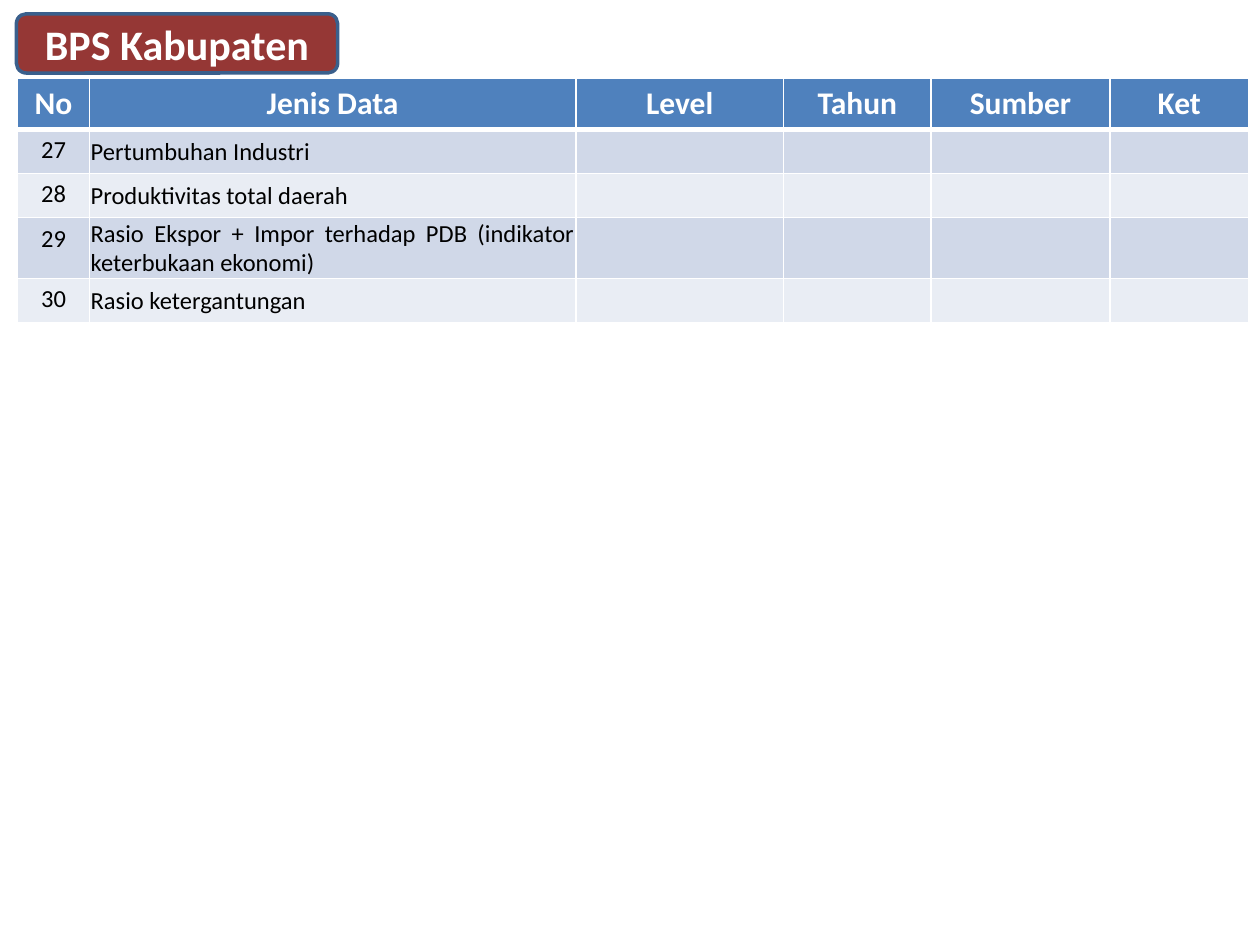
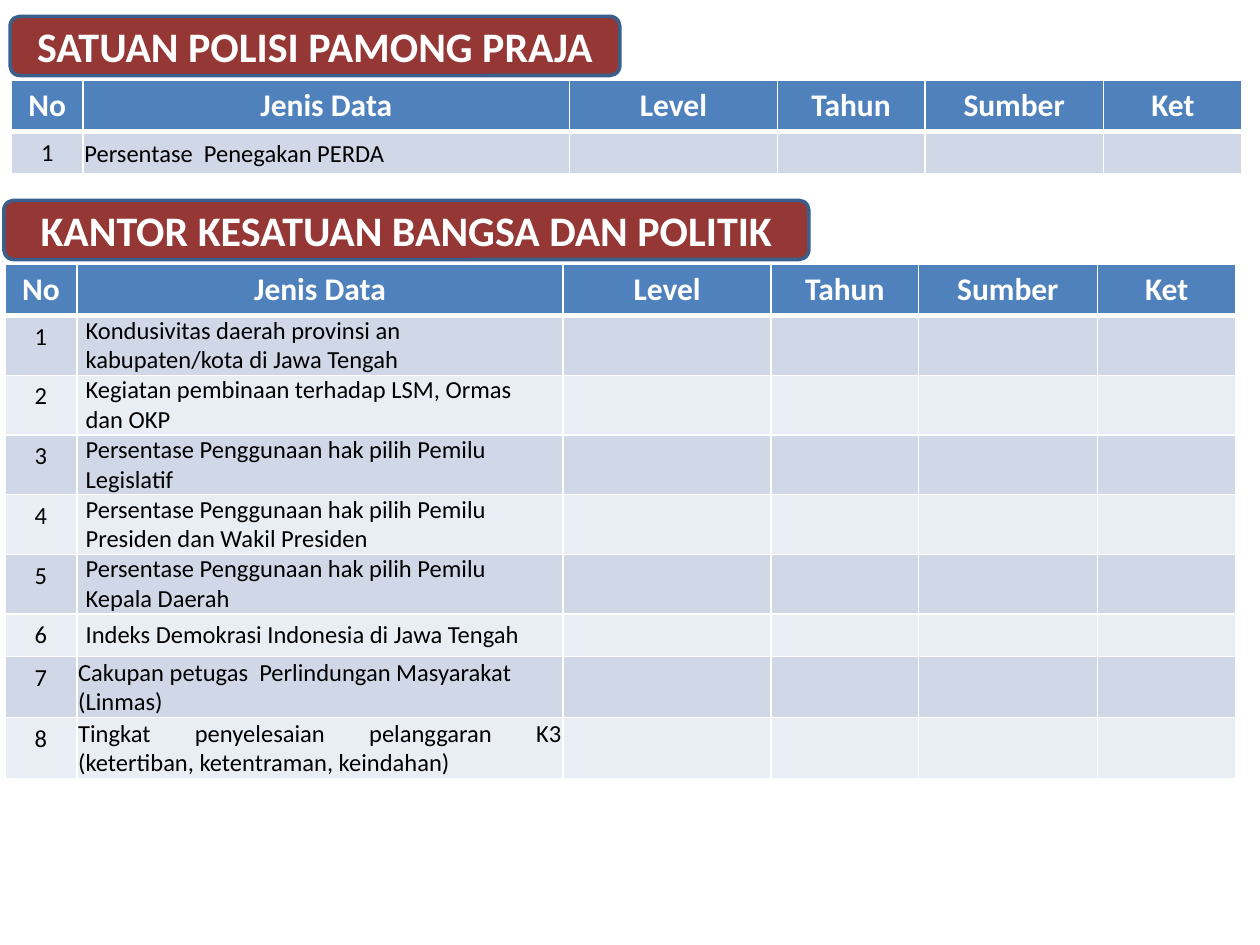
from lxml import etree
from pptx import Presentation
from pptx.dml.color import RGBColor
from pptx.enum.shapes import MSO_SHAPE
from pptx.enum.text import MSO_ANCHOR, PP_ALIGN
from pptx.oxml.ns import qn
from pptx.util import Inches, Pt

ROUNDED = MSO_SHAPE.ROUNDED_RECTANGLE
TOP, MIDDLE = MSO_ANCHOR.TOP, MSO_ANCHOR.MIDDLE
LEFT, CENTER, JUSTIFY = PP_ALIGN.LEFT, PP_ALIGN.CENTER, PP_ALIGN.JUSTIFY

SLIDE_W, SLIDE_H = Inches(10), Inches(7.5)
GRID_COLS, GRID_ROWS = 100, 75
BLANK_LAYOUT = 6

WHITE, BLACK = "FFFFFF", "000000"
BAND_FILL, BAND_LINE = "953735", "3A5F8C"
HEADER_FILL, STRIPES = "4F81BD", ("D0D8E8", "E9EDF4")

BAND_TEXT = {"name": "Calibri", "size": Pt(24), "bold": True}
HEADER_TEXT = {"name": "Calibri", "size": Pt(18), "bold": True}
BODY_TEXT = {"name": "Calibri", "size": Pt(14), "bold": False}

HEADINGS = ("No", "Jenis Data", "Level", "Tahun", "Sumber", "Ket")
COLUMN_SPANS = (5.7, 38.6, 16.5, 11.7, 14.2, 11)
BAND_HEIGHT = 4.7
TABLE_SHIFT, TABLE_DROP = 0.1, 5.1
THIN, THICK = 1, 3


def cols(count):
    return round(SLIDE_W * count / GRID_COLS)


def rows(count):
    return round(SLIDE_H * count / GRID_ROWS)


def colour(value):
    return RGBColor.from_string(value)


def paint(target, value):
    target.solid()
    target.fore_color.rgb = colour(value)


def assign(target, values):
    for attribute, value in values.items():
        setattr(target, attribute, value)


def margins(left, top, right, bottom):
    return {"margin_left": Inches(left), "margin_top": Inches(top),
            "margin_right": Inches(right), "margin_bottom": Inches(bottom)}


TIGHT = margins(0.01, 0.01, 0.01, 0)
INDENTED = margins(0.07, 0, 0.07, 0)


def write(paragraph, text, text_format, text_colour, alignment):
    paragraph.alignment = alignment
    run = paragraph.add_run()
    run.text = text
    assign(run.font, text_format)
    run.font.color.rgb = colour(text_colour)


def add_borders(cell, top, bottom):
    properties = cell._tc.get_or_add_tcPr()
    widths = {"lnL": THIN, "lnR": THIN, "lnT": top, "lnB": bottom}
    for position, (edge, width) in enumerate(widths.items()):
        line = etree.Element(qn(f"a:{edge}"), w=str(Pt(width)))
        fill = etree.SubElement(line, qn("a:solidFill"))
        etree.SubElement(fill, qn("a:srgbClr"), val=WHITE)
        properties.insert(position, line)


def add_band(slide, left, top, span, title):
    band = slide.shapes.add_shape(ROUNDED, cols(left), rows(top), cols(span), rows(BAND_HEIGHT))
    band.shadow.inherit = False
    paint(band.fill, BAND_FILL)
    paint(band.line.fill, BAND_LINE)
    band.line.width = Pt(2)
    band.text_frame.word_wrap = True
    band.text_frame.vertical_anchor = MIDDLE
    write(band.text_frame.paragraphs[0], title, BAND_TEXT, WHITE, CENTER)


def fill_header(table):
    for cell, heading in zip(table.rows[0].cells, HEADINGS):
        paint(cell.fill, HEADER_FILL)
        add_borders(cell, THIN, THICK)
        write(cell.text_frame.paragraphs[0], heading, HEADER_TEXT, WHITE, CENTER)


def fill_record(table, index, number, indicator, alignment, padding):
    number_cell, indicator_cell, *empty_cells = table.rows[index].cells
    for cell in (number_cell, indicator_cell, *empty_cells):
        paint(cell.fill, STRIPES[(index - 1) % 2])
        add_borders(cell, THICK if index == 1 else THIN, THIN)
    write(number_cell.text_frame.paragraphs[0], str(number), BODY_TEXT, BLACK, CENTER)
    number_cell.vertical_anchor = TOP
    assign(indicator_cell, {"vertical_anchor": MIDDLE, **padding})
    write(indicator_cell.text_frame.paragraphs[0], indicator, BODY_TEXT, BLACK, alignment)
    for cell in empty_cells:
        etree.SubElement(cell.text_frame.paragraphs[0]._p, qn("a:endParaRPr"), sz="1400")


def add_indicators(slide, left, top, header_height, record_height, first_number, records):
    heights = [header_height] + [record_height] * len(records)
    table = slide.shapes.add_table(len(heights), len(HEADINGS), cols(left), rows(top),
                                   cols(sum(COLUMN_SPANS)), rows(sum(heights))).table
    for column, span in zip(table.columns, COLUMN_SPANS):
        column.width = cols(span)
    for row, height in zip(table.rows, heights):
        row.height = rows(height)
    fill_header(table)
    for index, record in enumerate(records, 1):
        fill_record(table, index, first_number + index - 1, *record)


def add_section(slide, section):
    left, top = section["corner"]
    add_indicators(slide, left + TABLE_SHIFT, top + TABLE_DROP, *section["heights"],
                   section["first_number"], section["records"])
    add_band(slide, left, top, section["band_span"], section["title"])


STATISTICS_OFFICE = {
    "title": "BPS Kabupaten", "corner": (1.3, 1.1), "band_span": 25.5,
    "heights": (3.8, 3.5), "first_number": 27,
    "records": [
        ("Pertumbuhan Industri", LEFT, TIGHT),
        ("Produktivitas total daerah", LEFT, TIGHT),
        ("Rasio Ekspor + Impor terhadap PDB (indikator keterbukaan ekonomi)", JUSTIFY, TIGHT),
        ("Rasio ketergantungan", LEFT, TIGHT),
    ],
}
CIVIL_POLICE = {
    "title": "SATUAN POLISI PAMONG PRAJA", "corner": (0.8, 1.3), "band_span": 48.4,
    "heights": (3.6, 3.3), "first_number": 1,
    "records": [("Persentase  Penegakan PERDA", LEFT, TIGHT)],
}
NATIONAL_UNITY = {
    "title": "KANTOR KESATUAN BANGSA DAN POLITIK", "corner": (0.3, 15.9), "band_span": 63.9,
    "heights": (3.6, 3.3), "first_number": 1,
    "records": [
        ("Kondusivitas daerah provinsi an kabupaten/kota di Jawa Tengah", LEFT, INDENTED),
        ("Kegiatan pembinaan terhadap LSM, Ormas dan OKP", LEFT, INDENTED),
        ("Persentase Penggunaan hak pilih Pemilu Legislatif", LEFT, INDENTED),
        ("Persentase Penggunaan hak pilih Pemilu Presiden dan Wakil Presiden", LEFT, INDENTED),
        ("Persentase Penggunaan hak pilih Pemilu Kepala Daerah", LEFT, INDENTED),
        ("Indeks Demokrasi Indonesia di Jawa Tengah", LEFT, INDENTED),
        ("Cakupan petugas  Perlindungan Masyarakat (Linmas)", LEFT, TIGHT),
        ("Tingkat penyelesaian pelanggaran K3 (ketertiban, ketentraman, keindahan)", JUSTIFY, TIGHT),
    ],
}


def main():
    presentation = Presentation()
    assign(presentation, {"slide_width": SLIDE_W, "slide_height": SLIDE_H})
    for sections in ([STATISTICS_OFFICE], [CIVIL_POLICE, NATIONAL_UNITY]):
        slide = presentation.slides.add_slide(presentation.slide_layouts[BLANK_LAYOUT])
        for section in sections:
            add_section(slide, section)
    presentation.save("out.pptx")


if __name__ == "__main__":
    main()
